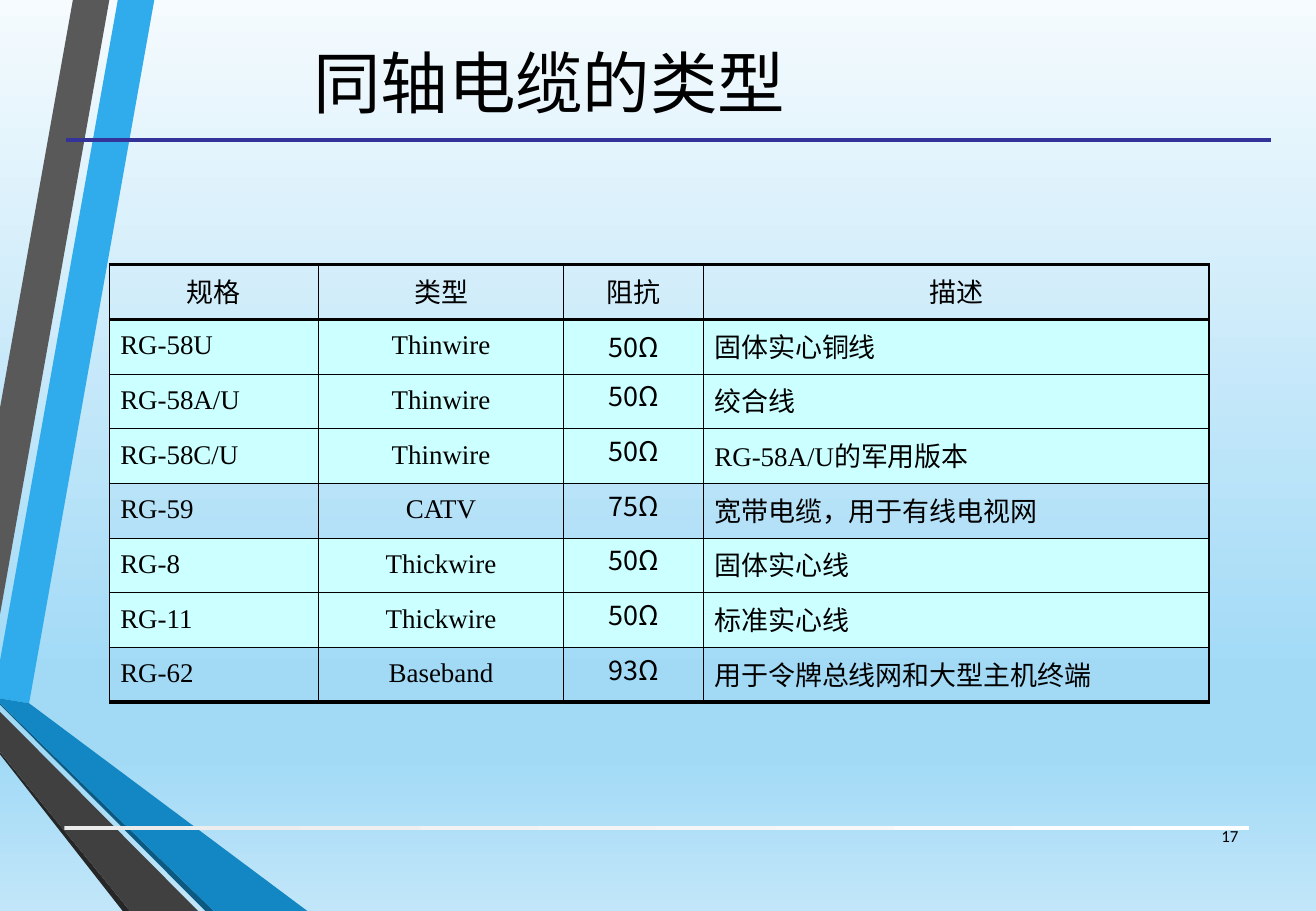
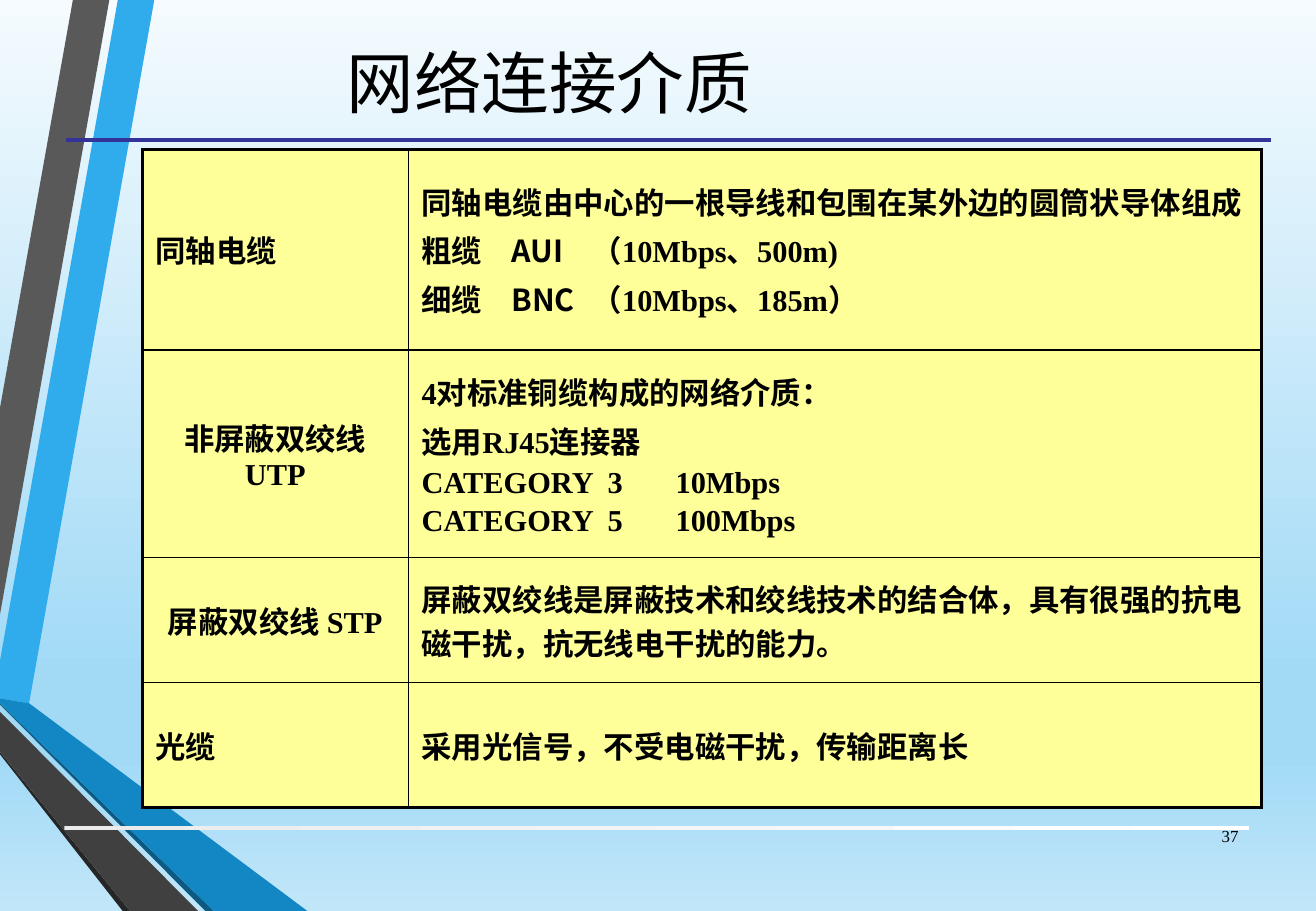
import pptx
import pptx.dml.color
import pptx.enum.shapes
import pptx.enum.text
import pptx.oxml.ns
import pptx.util
from dataclasses import dataclass
from lxml import etree

Inches = pptx.util.Inches
Pt = pptx.util.Pt
qn = pptx.oxml.ns.qn
RGBColor = pptx.dml.color.RGBColor
LEFT = pptx.enum.text.PP_ALIGN.LEFT
CENTER = pptx.enum.text.PP_ALIGN.CENTER
RIGHT = pptx.enum.text.PP_ALIGN.RIGHT
TOP = pptx.enum.text.MSO_ANCHOR.TOP
MIDDLE = pptx.enum.text.MSO_ANCHOR.MIDDLE


@dataclass(frozen=True)
class Theme:
    text: str = "000000"
    rule: str = "333399"
    cyan: str = "CCFFFF"
    yellow: str = "FFFF99"
    sky: tuple = ((0, "F5FBFE"), (74, "A2DAF6"), (83, "A2DAF6"), (100, "C1E6F9"))
    footer_band: tuple = ((0, "EBEBEB"), (100, "FFFFFF"))
    serif: str = "Times New Roman"
    sans: str = "Calibri"
    chinese: str = "Noto Sans CJK SC"
    title_size: int = 40
    number_size: int = 10
    thick: float = 2.25


theme = Theme()


def write_paragraph(paragraph, runs, size, alignment, bold=False, tab_stops=()):
    paragraph.alignment = alignment
    if tab_stops:
        tab_list = etree.SubElement(paragraph._p.get_or_add_pPr(), qn("a:tabLst"))
        for position in tab_stops:
            etree.SubElement(tab_list, qn("a:tab"), pos=str(Inches(position)), algn="l")
    font = paragraph.font
    font.size = Pt(size)
    font.bold = bold
    font.color.rgb = RGBColor.from_string(theme.text)
    font.name = runs[0][1]
    etree.SubElement(font._rPr, qn("a:ea"), typeface=theme.chinese)
    for text, font_name in runs:
        run = paragraph.add_run()
        run.text = text
        if font_name != runs[0][1]:
            run.font.name = font_name


def add_bordered_table(slide, left, top, columns, rows, horizontal_lines, vertical_lines):
    table = slide.shapes.add_table(
        len(rows), len(columns), Inches(left), Inches(top),
        Inches(sum(columns)), Inches(sum(rows))).table
    table.first_row = False
    table.horz_banding = False
    for column, width in zip(table.columns, columns):
        column.width = Inches(width)
    for row, height in zip(table.rows, rows):
        row.height = Inches(height)
    for r in range(len(rows)):
        for c in range(len(columns)):
            properties = table.cell(r, c)._tc.get_or_add_tcPr()
            widths = (("a:lnL", vertical_lines[c]), ("a:lnR", vertical_lines[c + 1]),
                      ("a:lnT", horizontal_lines[r]), ("a:lnB", horizontal_lines[r + 1]))
            for tag, width in widths:
                border = etree.SubElement(properties, qn(tag), w=str(Pt(width)))
                fill = etree.SubElement(border, qn("a:solidFill"))
                etree.SubElement(fill, qn("a:srgbClr"), val=theme.text)
    return table


presentation = pptx.Presentation()
presentation.slide_width = Inches(10.83)
presentation.slide_height = Inches(7.5)
layout = presentation.slide_layouts[6]
master = presentation.slide_master

pages = (("同轴电缆的类型", theme.sans, "17"), ("网络连接介质", theme.serif, "37"))
slides = []
for title, font_name, number in pages:
    slide = presentation.slides.add_slide(layout)
    slides.append(slide)
    captions = (
        (title, font_name, theme.title_size, CENTER, (0.43, 0.05, 8.18, 1.24)),
        (number, font_name, theme.number_size, RIGHT, (9.78, 6.68, 0.51, 0.4)),
    )
    for text, name, size, alignment, box in captions:
        frame = slide.shapes.add_textbox(*map(Inches, box)).text_frame
        frame.word_wrap = True
        frame.vertical_anchor = MIDDLE
        write_paragraph(frame.paragraphs[0], [(text, name)], size, alignment)
types_slide, media_slide = slides

ribbons = (
    ("30ACEC", ((0, 5.44), (0, 5.75), (0.24, 5.79), (1.27, 0), (0.97, 0))),
    ("595959", ((0.9, 0), (0.6, 0), (0, 3.36), (0, 5.06))),
    ("262626", ((0, 6.19), (0, 6.21), (1.01, 7.5), (1.07, 7.5))),
    ("0C5A82", ((0, 5.79), (0, 5.8), (1.69, 7.5), (1.76, 7.5))),
    ("1287C3", ((0, 5.79), (1.76, 7.5), (2.53, 7.5), (0.24, 5.79), (0, 5.75))),
    ("404040", ((0, 6.19), (1.07, 7.5), (1.63, 7.5), (0, 5.86))),
)
decorations = []
for color, corners in ribbons:
    points = [(Inches(x), Inches(y)) for x, y in corners]
    builder = types_slide.shapes.build_freeform(*points[0])
    builder.add_line_segments(points[1:], close=True)
    ribbon = builder.convert_to_shape()
    ribbon.fill.solid()
    ribbon.fill.fore_color.rgb = RGBColor.from_string(color)
    ribbon.line.fill.background()
    ribbon.shadow.inherit = False
    decorations.append(ribbon)

footer_band = types_slide.shapes.add_shape(
    pptx.enum.shapes.MSO_SHAPE.RECTANGLE, Inches(0.53), Inches(6.8), Inches(9.75), Inches(0.03))
footer_band.line.fill.background()
footer_band.shadow.inherit = False
decorations.append(footer_band)

gradients = (
    (master.background.fill, master.element, 270, theme.sky),
    (footer_band.fill, footer_band.element, 0, theme.footer_band),
)
for fill, element, angle, stops in gradients:
    fill.gradient()
    fill.gradient_angle = angle
    stop_list = element.find(".//" + qn("a:gsLst"))
    stop_list.clear()
    for position, color in stops:
        stop = etree.SubElement(stop_list, qn("a:gs"), pos=str(position * 1000))
        etree.SubElement(stop, qn("a:srgbClr"), val=color)

title_rule = types_slide.shapes.add_connector(
    pptx.enum.shapes.MSO_CONNECTOR.STRAIGHT,
    Inches(0.54), Inches(1.15), Inches(10.46), Inches(1.15))
title_rule.line.color.rgb = RGBColor.from_string(theme.rule)
title_rule.line.width = Pt(theme.thick)
etree.SubElement(title_rule.element.spPr, qn("a:effectLst"))
decorations.append(title_rule)

for shape_id, shape in enumerate(decorations, 101):
    shape.element.find(".//" + qn("p:cNvPr")).set("id", str(shape_id))
    master.shapes.element.append(shape.element)

cable_types = (
    ("规格", "类型", "阻抗", "描述"),
    ("RG-58U", "Thinwire", "50Ω", "固体实心铜线"),
    ("RG-58A/U", "Thinwire", "50Ω", "绞合线"),
    ("RG-58C/U", "Thinwire", "50Ω", "RG-58A/U的军用版本"),
    ("RG-59", "CATV", "75Ω", "宽带电缆，用于有线电视网"),
    ("RG-8", "Thickwire", "50Ω", "固体实心线"),
    ("RG-11", "Thickwire", "50Ω", "标准实心线"),
    ("RG-62", "Baseband", "93Ω", "用于令牌总线网和大型主机终端"),
)
types_table = add_bordered_table(
    types_slide, 0.9, 2.18, (1.72, 2.02, 1.15, 4.16), [0.45] * len(cable_types),
    [theme.thick] * 2 + [0.75] * 6 + [theme.thick], [0.75] * 5)
for r, row in enumerate(cable_types):
    for c, text in enumerate(row):
        cell = types_table.cell(r, c)
        cell.margin_left = cell.margin_right = Inches(0.09)
        cell.margin_top = cell.margin_bottom = Inches(0.04)
        cell.vertical_anchor = TOP if c == 2 and r > 1 else MIDDLE
        if row[2] == "50Ω":
            cell.fill.solid()
            cell.fill.fore_color.rgb = RGBColor.from_string(theme.cyan)
        else:
            cell.fill.background()
        paragraph = cell.text_frame.paragraphs[0]
        paragraph.line_spacing = 0.9
        write_paragraph(paragraph, [(text, theme.chinese if c == 2 and r else theme.serif)], 16,
                        CENTER if r == 0 or c in (1, 2) else LEFT)

connector_tabs = (0.74, 1.4)
category_tabs = (1.53, 2.09)
media = (
    (LEFT, "同轴电缆", (
        ([("同轴电缆由中心的一根导线和包围在某外边的圆筒状导体组成", theme.chinese)], ()),
        ([("粗缆\tAUI\t（", theme.chinese), ("10Mbps、500m)", theme.serif)], connector_tabs),
        ([("细缆\tBNC\t（", theme.chinese), ("10Mbps、185m）", theme.serif)], connector_tabs))),
    (CENTER, "非屏蔽双绞线 UTP", (
        ([("4对标准铜缆构成的网络介质：", theme.serif)], ()),
        ([("选用RJ45连接器", theme.serif)], ()),
        ([("CATEGORY\t3\t10Mbps", theme.serif)], category_tabs),
        ([("CATEGORY\t5\t100Mbps", theme.serif)], category_tabs))),
    (CENTER, "屏蔽双绞线 STP", (
        ([("屏蔽双绞线是屏蔽技术和绞线技术的结合体，具有很强的抗电磁干扰，抗无线电干扰的能力。",
           theme.chinese)], ()),)),
    (LEFT, "光缆", (
        ([("采用光信号，不受电磁干扰，传输距离长", theme.chinese)], ()),)),
)
media_table = add_bordered_table(
    media_slide, 1.17, 1.23, (2.19, 7.02), (1.65, 1.71, 1.03, 1.03),
    (theme.thick, 1, 1, 1, theme.thick), (theme.thick, 1, theme.thick))
for r, (name_alignment, name, description) in enumerate(media):
    name_lines = (([(name, theme.serif)], ()),)
    for c, (alignment, lines) in enumerate(((name_alignment, name_lines), (LEFT, description))):
        cell = media_table.cell(r, c)
        cell.margin_left = cell.margin_right = Inches(0.11)
        cell.margin_top = cell.margin_bottom = Inches(0.05)
        cell.vertical_anchor = MIDDLE
        cell.fill.solid()
        cell.fill.fore_color.rgb = RGBColor.from_string(theme.yellow)
        frame = cell.text_frame
        for index, (runs, tab_stops) in enumerate(lines):
            paragraph = frame.add_paragraph() if index else frame.paragraphs[0]
            if index:
                paragraph.space_before = Pt(2.7)
            write_paragraph(paragraph, runs, 18, alignment, True, tab_stops)

presentation.save("out.pptx")
